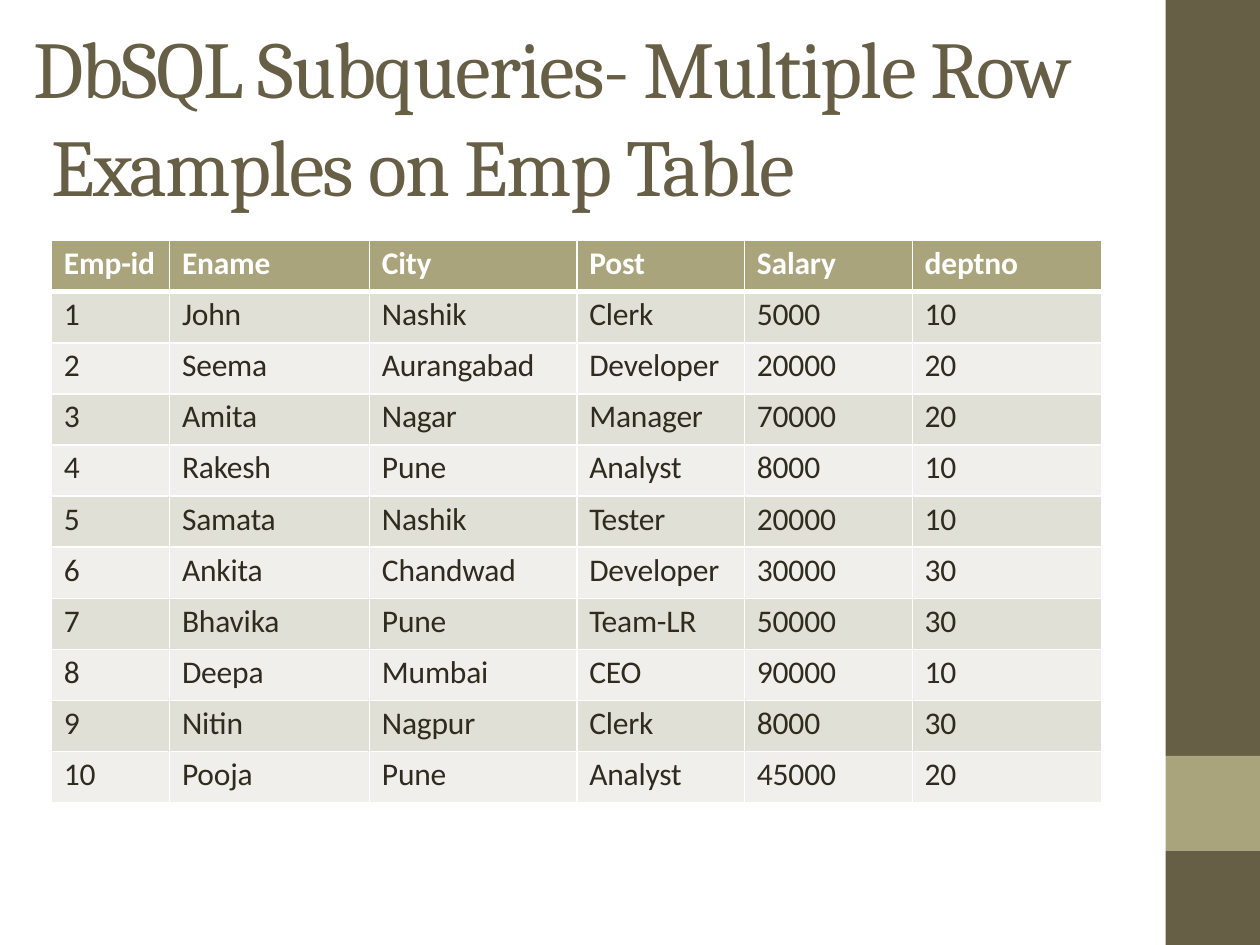
from lxml import etree
from pptx import Presentation
from pptx.dml.color import RGBColor
from pptx.enum import shapes, text
from pptx.oxml.ns import qn
from pptx.util import Cm, Pt

BROWN, OLIVE, INK, WHITE = "675E46", "A9A47B", "2E2B1F", "FFFFFF"
BANDS = ("E1E0D6", "F0EFEB")
COLUMN_WIDTHS = (2.38, 4.03, 4.18, 3.38, 3.38, 3.81)
ROW_HEIGHT = 1.03
EMPLOYEES = [
    ("Emp-id", "Ename", "City", "Post", "Salary", "deptno"),
    ("1", "John", "Nashik", "Clerk", "5000", "10"),
    ("2", "Seema", "Aurangabad", "Developer", "20000", "20"),
    ("3", "Amita", "Nagar", "Manager", "70000", "20"),
    ("4", "Rakesh", "Pune", "Analyst", "8000", "10"),
    ("5", "Samata", "Nashik", "Tester", "20000", "10"),
    ("6", "Ankita", "Chandwad", "Developer", "30000", "30"),
    ("7", "Bhavika", "Pune", "Team-LR", "50000", "30"),
    ("8", "Deepa", "Mumbai", "CEO", "90000", "10"),
    ("9", "Nitin", "Nagpur", "Clerk", "8000", "30"),
    ("10", "Pooja", "Pune", "Analyst", "45000", "20"),
]


def color(value):
    """Turn a hex string into a colour."""
    return RGBColor.from_string(value)


def set_border(cell, side, width):
    """Draw one white cell border; side is L, R, T or B."""
    properties = cell._tc.get_or_add_tcPr()
    line = etree.SubElement(properties, qn(f"a:ln{side}"), w=str(Pt(width)))
    fill = etree.SubElement(line, qn("a:solidFill"))
    etree.SubElement(fill, qn("a:srgbClr"), val=WHITE)


class SlideBuilder:
    """Hold the style and the current slide."""

    title_font, body_font = "Cambria", "Calibri"

    def __init__(self, presentation):
        """Add a title-only slide."""
        self.slide = presentation.slides.add_slide(presentation.slide_layouts[5])

    def format_run(self, run, font, size, hex_color, bold=False, spacing=0):
        """Style a run; spacing is in hundredths of a point."""
        run.font.name, run.font.size, run.font.bold = font, Pt(size), bold
        run.font.color.rgb = color(hex_color)
        run._r.get_or_add_rPr().set("spc", str(spacing))

    def block(self, left, top, width, height, fill):
        """Add a plain filled rectangle."""
        shape = self.slide.shapes.add_shape(
            shapes.MSO_SHAPE.RECTANGLE, Cm(left), Cm(top), Cm(width), Cm(height))
        shape.shadow.inherit = False
        shape.fill.solid()
        shape.fill.fore_color.rgb = color(fill)
        shape.line.fill.background()

    def title(self, lines, indents, left, top, width, height):
        """Place the title, each line with its own left indent."""
        shape = self.slide.shapes.title
        shape.left, shape.top = Cm(left), Cm(top)
        shape.width, shape.height = Cm(width), Cm(height)
        frame = shape.text_frame
        frame.text = "\n".join(lines)
        frame.word_wrap = True
        frame.auto_size = text.MSO_AUTO_SIZE.NONE
        frame.vertical_anchor = text.MSO_ANCHOR.TOP
        frame.margin_left = frame.margin_right = frame.margin_bottom = 0
        frame.margin_top = Cm(0.03)
        for paragraph, indent in zip(frame.paragraphs, indents):
            paragraph.alignment = text.PP_ALIGN.LEFT
            paragraph.space_before = Pt(0.9)
            paragraph._p.get_or_add_pPr().set("marL", str(Cm(indent)))
            self.format_run(paragraph.runs[0], self.title_font, 46, BROWN, spacing=-100)

    def table(self, rows, left, top):
        """Add the banded table with a header row."""
        table = self.slide.shapes.add_table(
            len(rows), len(COLUMN_WIDTHS), Cm(left), Cm(top),
            Cm(sum(COLUMN_WIDTHS)), Cm(ROW_HEIGHT * len(rows))).table
        for column, width in zip(table.columns, COLUMN_WIDTHS):
            column.width = Cm(width)
        for row_index, values in enumerate(rows):
            table.rows[row_index].height = Cm(ROW_HEIGHT)
            for column_index, value in enumerate(values):
                self.cell(table.cell(row_index, column_index), value, row_index)

    def cell(self, cell, value, row_index):
        """Fill, border and write one cell."""
        header = row_index == 0
        cell.margin_left, cell.margin_top = Cm(0.25), Cm(0.08)
        cell.margin_right = cell.margin_bottom = 0
        widths = {"L": 1, "R": 1, "T": 3 if row_index == 1 else 1, "B": 3 if header else 1}
        for side, width in widths.items():
            set_border(cell, side, width)
        cell.fill.solid()
        cell.fill.fore_color.rgb = color(OLIVE if header else BANDS[(row_index - 1) % 2])
        cell.text_frame.text = value
        paragraph = cell.text_frame.paragraphs[0]
        paragraph.space_before = Pt(2.4)
        self.format_run(paragraph.runs[0], self.body_font, 18,
                        WHITE if header else INK, header, spacing=-10)


presentation = Presentation()
presentation.slide_width, presentation.slide_height = Cm(25.4), Cm(19.05)
builder = SlideBuilder(presentation)
for top, height, fill in ((0, 15.24, BROWN), (15.24, 1.91, OLIVE), (17.15, 1.9, BROWN)):
    builder.block(23.5, top, 1.9, height, fill)
builder.title(("DbSQL Subqueries- Multiple Row", "Examples on Emp Table"), (0.03, 0.4),
              0.64, 0.33, 22.5, 3.96)
builder.table(EMPLOYEES, 1.04, 4.85)
presentation.save("out.pptx")
